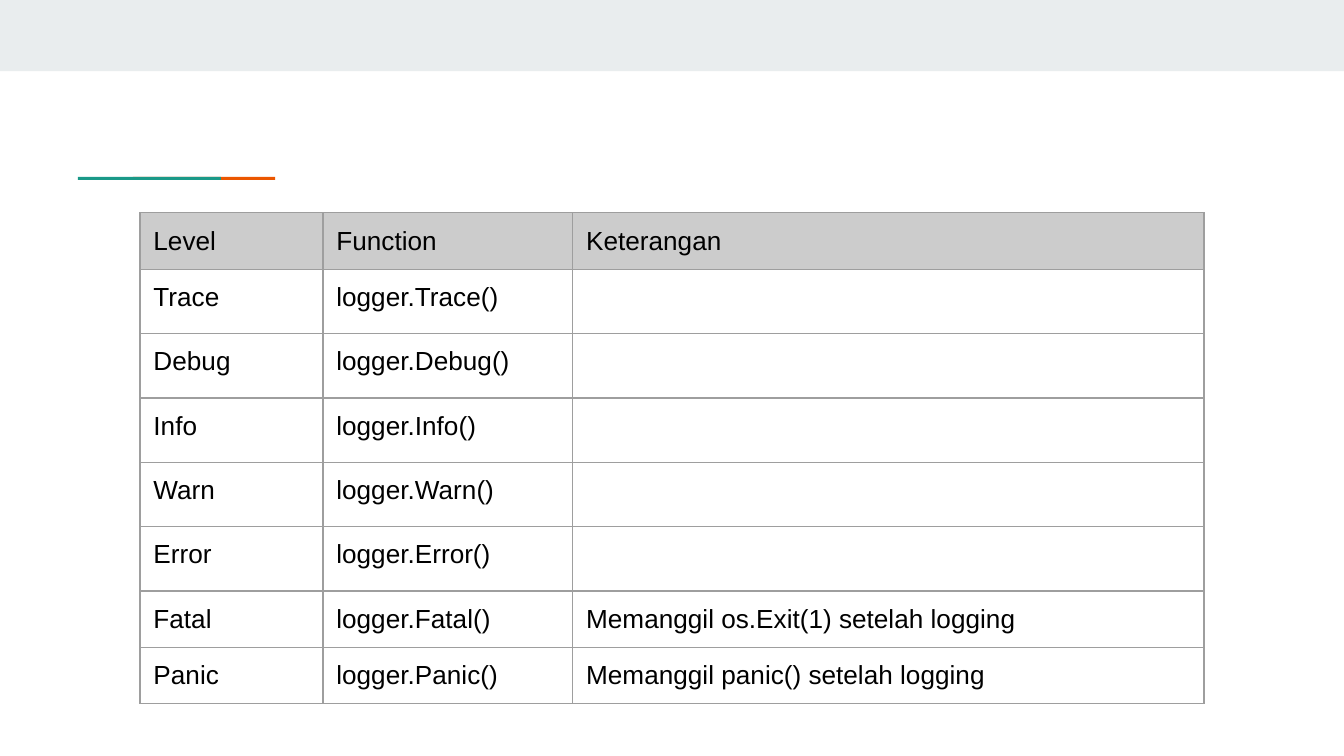
import pptx
import pptx.util
import pptx.dml.color
import pptx.enum.shapes
import pptx.oxml.ns
import lxml.etree
from dataclasses import dataclass

Pt = pptx.util.Pt
qn = pptx.oxml.ns.qn


@dataclass(frozen=True)
class Theme:
    font: str = "Arial"
    size: float = 14
    text: str = "000000"
    band: str = "E9EDEE"
    teal: str = "1A9988"
    orange: str = "EB5600"
    head: str = "CCCCCC"
    body: str = "FFFFFF"
    grid: str = "9E9E9E"
    line: float = 0.75
    pad: float = 7.2


def paint(fill, color):
    fill.solid()
    fill.fore_color.rgb = pptx.dml.color.RGBColor.from_string(color)


class Deck:
    def __init__(self, theme, slide):
        self.theme = theme
        self.slide = slide

    def bar(self, left, top, width, height, color):
        kind = pptx.enum.shapes.MSO_SHAPE.RECTANGLE
        box = self.slide.shapes.add_shape(kind, Pt(left), Pt(top), Pt(width), Pt(height))
        box.shadow.inherit = False
        paint(box.fill, color)
        box.line.fill.background()

    def edge(self, cell):
        props = cell._tc.get_or_add_tcPr()
        for spot, side in enumerate(("lnL", "lnR", "lnT", "lnB")):
            line = lxml.etree.Element(qn(f"a:{side}"), w=str(Pt(self.theme.line)))
            fill = lxml.etree.SubElement(line, qn("a:solidFill"))
            lxml.etree.SubElement(fill, qn("a:srgbClr"), val=self.theme.grid)
            props.insert(spot, line)

    def cell(self, cell, text, color):
        theme = self.theme
        pad = Pt(theme.pad)
        cell.margin_left = cell.margin_right = pad
        cell.margin_top = cell.margin_bottom = pad
        paint(cell.fill, color)
        self.edge(cell)
        cell.text = text
        font = cell.text_frame.paragraphs[0].font
        font.name = theme.font
        font.size = Pt(theme.size)
        font.color.rgb = pptx.dml.color.RGBColor.from_string(theme.text)

    def table(self, left, top, widths, heights, rows):
        frame = self.slide.shapes.add_table(
            len(rows), len(widths), Pt(left), Pt(top), Pt(sum(widths)), Pt(sum(heights)))
        table = frame.table
        table.horz_banding = False
        for col, width in zip(table.columns, widths):
            col.width = Pt(width)
        for at, (row, height) in enumerate(zip(rows, heights)):
            table.rows[at].height = Pt(height)
            color = self.theme.body if at else self.theme.head
            for cell, text in zip(table.rows[at].cells, row):
                self.cell(cell, text, color)


def main():
    show = pptx.Presentation()
    show.slide_width, show.slide_height = Pt(720), Pt(405)
    theme = Theme()
    deck = Deck(theme, show.slides.add_slide(show.slide_layouts[6]))

    deck.bar(0, 0, 720, 38.2, theme.band)
    deck.bar(71.2, 94.8, 76.2, 1.6, theme.orange)
    deck.bar(41.8, 94.8, 76.6, 1.6, theme.teal)

    notes = {
        "Fatal": "Memanggil os.Exit(1) setelah logging",
        "Panic": "Memanggil panic() setelah logging",
    }
    levels = ["Trace", "Debug", "Info", "Warn", "Error", "Fatal", "Panic"]
    rows = [("Level", "Function", "Keterangan")]
    rows += [(name, f"logger.{name}()", notes.get(name, "")) for name in levels]
    heights = [30.1 if row[2] else 34.5 for row in rows]
    deck.table(75, 114, (98, 133.8, 338.2), heights, rows)

    show.save("out.pptx")


if __name__ == "__main__":
    main()
